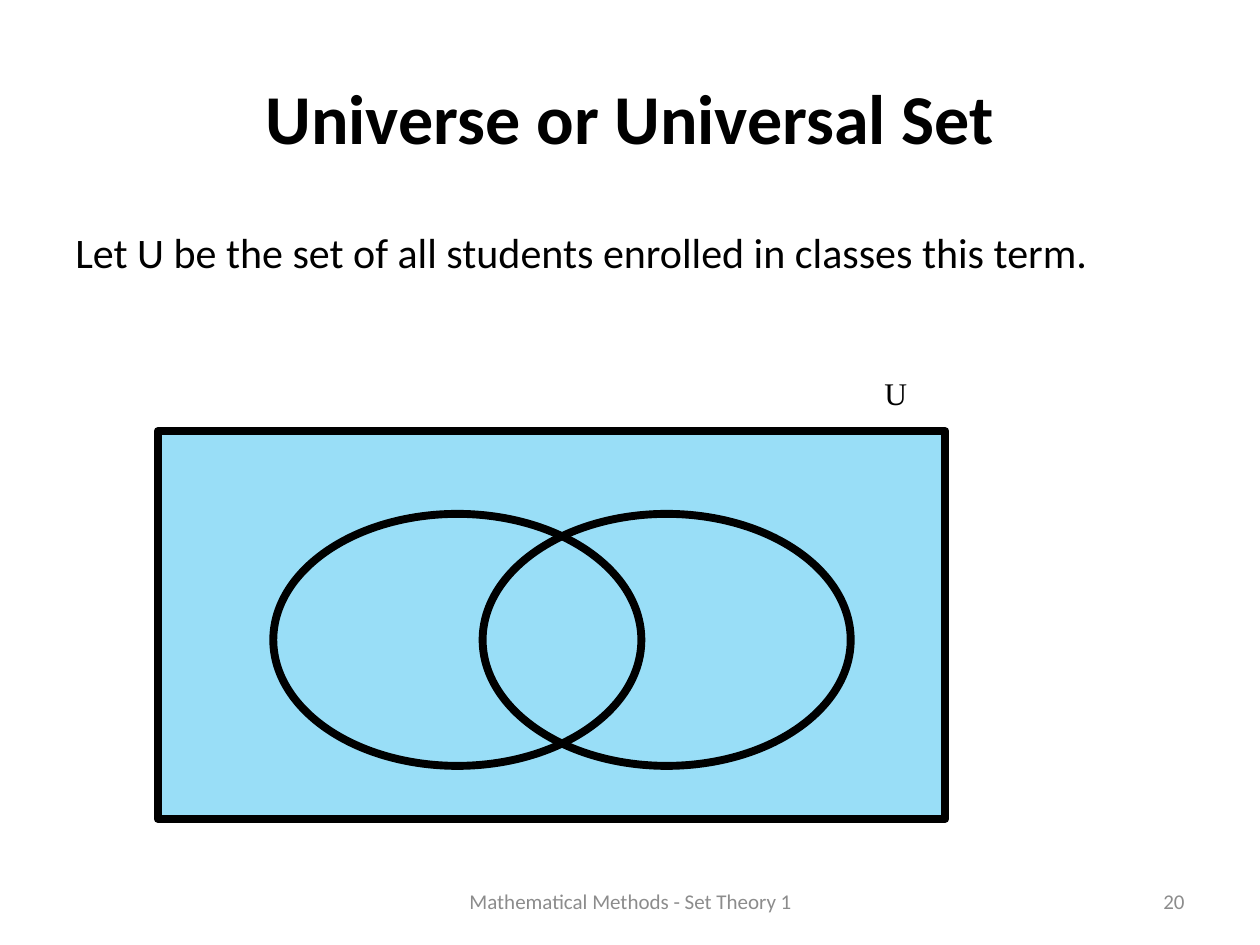
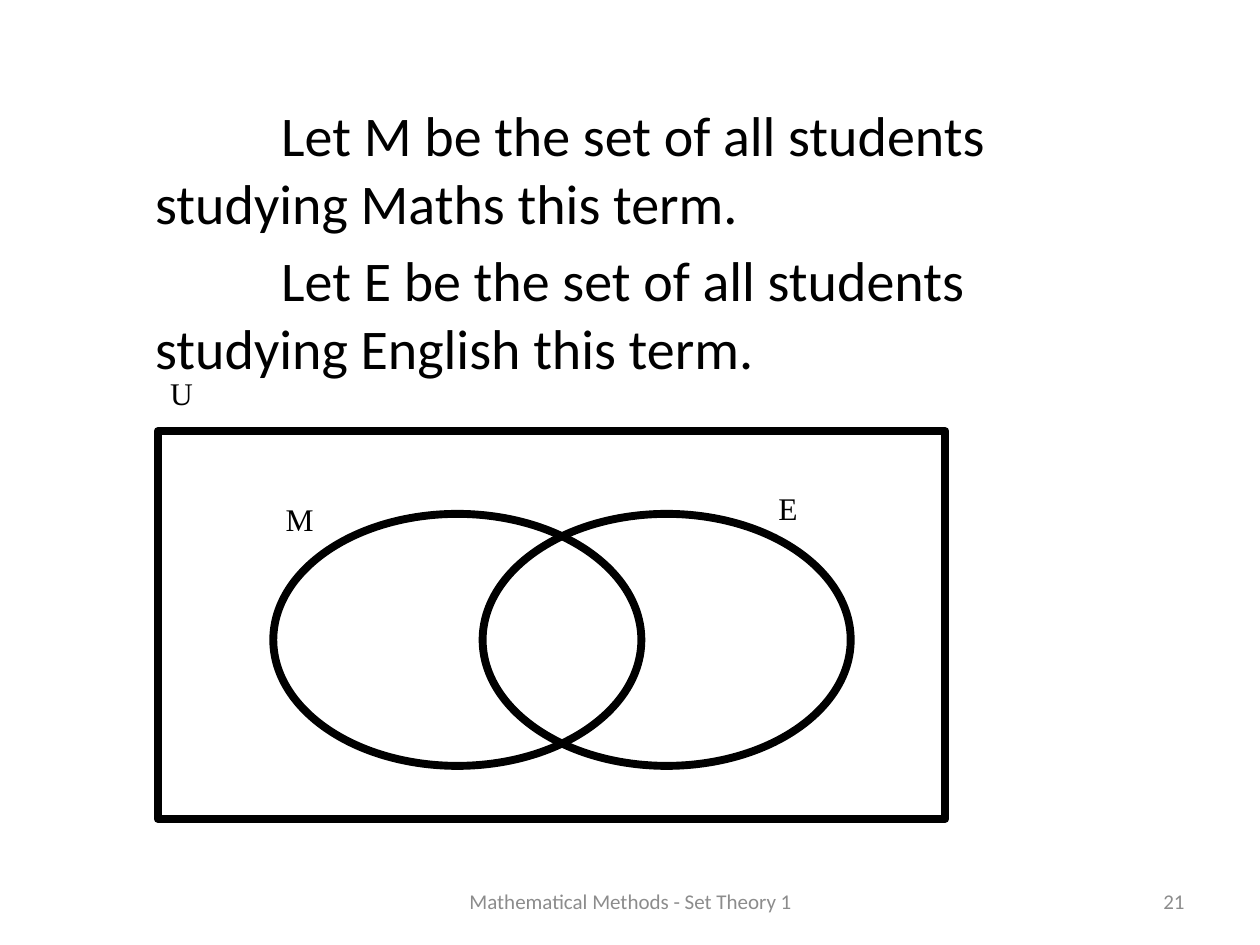
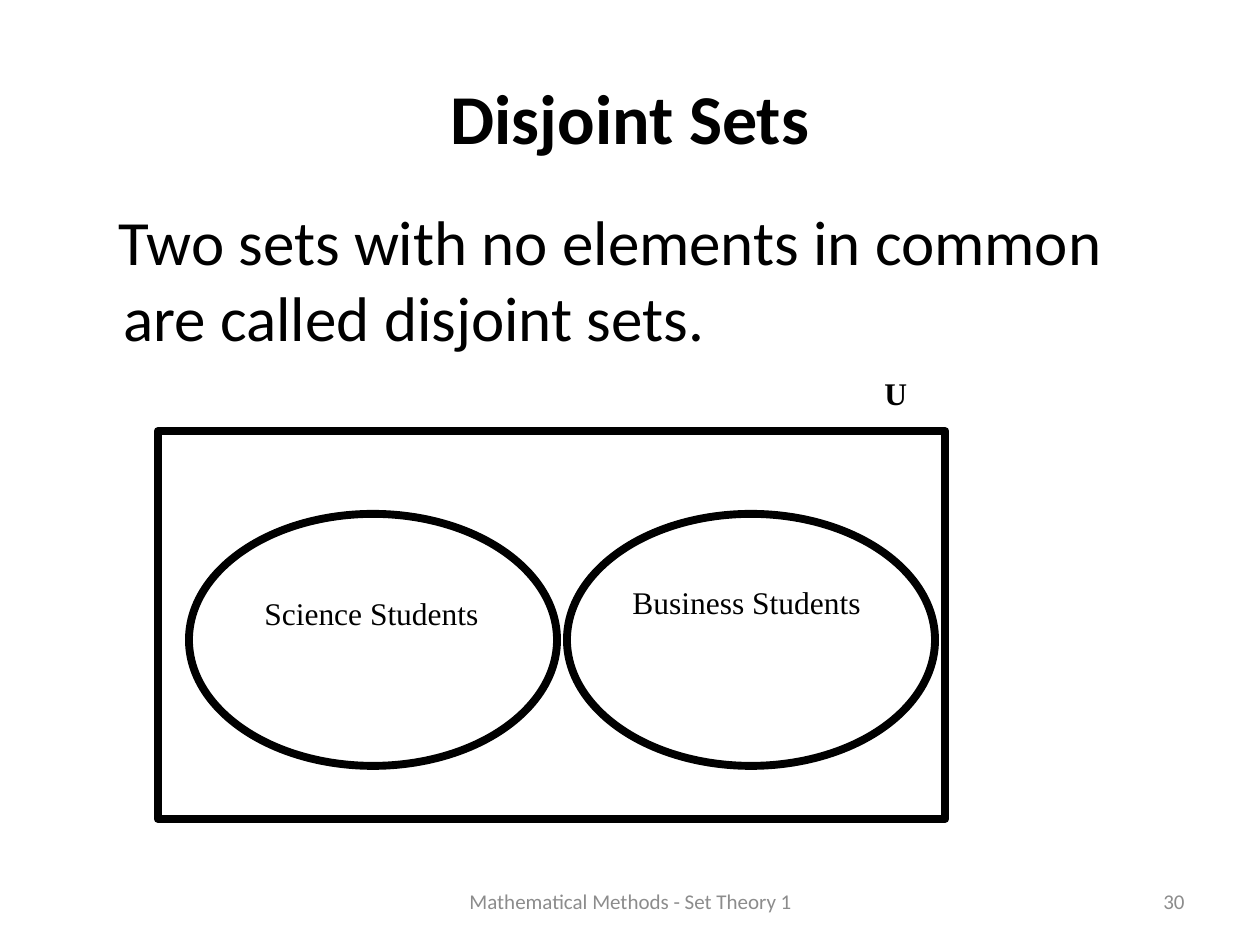
from pptx import Presentation
from pptx.dml.color import RGBColor
from pptx.enum.shapes import MSO_SHAPE as SHAPE
from pptx.enum.text import MSO_ANCHOR as ANCHOR, PP_ALIGN as ALIGN
from pptx.util import Cm, Pt

# Shared style
BLACK = RGBColor(0x00, 0x00, 0x00)
GREY = RGBColor(0x8C, 0x8C, 0x8C)
SKY = RGBColor(0x99, 0xDE, 0xF7)
BODY_FONT, LABEL_FONT = "Calibri", "Times New Roman"
COURSE = "Mathematical Methods - Set Theory 1"

# Shared places in cm: left, top, width, height
TITLE_BOX = (1.27, 0.76, 22.86, 3.18)
UNIVERSE_BOX = (3.18, 8.69, 15.88, 7.82)
COURSE_BOX = (8.69, 17.65, 8.05, 1.02)
NUMBER_BOX = (18.21, 17.65, 5.92, 1.02)
SET_TOP, SET_WIDTH, SET_HEIGHT = 10.36, 7.42, 5.08
OVERLAPPING, APART = (5.51, 9.73), (3.81, 11.43)

# Each body has its box, size, left margin, first-line indent and text;
# each label has its text, box and weight
slides = [
    {
        "number": "20", "title": "Universe or Universal Set",
        "fill": SKY, "set_lefts": OVERLAPPING,
        "body": ((1.27, 4.45, 22.86, 12.57), 24, 0.97, -0.97,
                 "Let U be the set of all students enrolled in classes this term."),
        "labels": [("U", (17.58, 7.42, 1.91, 1.27), False)],
    },
    {
        "number": "21", "title": None,
        "fill": None, "set_lefts": OVERLAPPING,
        "body": ((1.91, 1.91, 21.59, 15.04), 32, 0.97, 2.54,
                 "Let M be the set of all students studying Maths this term.\n"
                 "Let E be the set of all students studying English this term."),
        "labels": [("U", (3.18, 7.42, 1.91, 1.27), False),
                   ("M", (5.51, 9.96, 1.7, 1.27), False),
                   ("E", (15.44, 9.73, 2.97, 1.27), False)],
    },
    {
        "number": "30", "title": "Disjoint Sets",
        "fill": None, "set_lefts": APART,
        "body": ((1.27, 3.96, 22.86, 13.06), 36, 0.97, -0.1,
                 "Two sets with no elements in common are called disjoint sets."),
        "labels": [("U", (17.58, 7.42, 1.91, 1.27), True),
                   ("Science Students", (5.08, 11.86, 5.08, 1.02), False),
                   ("Business Students", (12.5, 11.63, 5.51, 1.02), False)],
    },
]


def add_text(slide, box, text, size, font=BODY_FONT, color=BLACK, bold=False,
             align=ALIGN.LEFT, anchor=ANCHOR.TOP):
    frame = slide.shapes.add_textbox(*map(Cm, box)).text_frame
    frame.word_wrap = True
    frame.vertical_anchor = anchor
    frame.text = text
    for paragraph in frame.paragraphs:
        paragraph.alignment = align
        for run in paragraph.runs:
            run.font.name = font
            run.font.size = Pt(size)
            run.font.bold = bold
            run.font.color.rgb = color
    return frame


def add_outline(slide, kind, box, fill=None):
    outline = slide.shapes.add_shape(kind, *map(Cm, box))
    outline.shadow.inherit = False
    outline.line.color.rgb = BLACK
    outline.line.width = Pt(4.5)
    if fill is None:
        outline.fill.background()
    else:
        outline.fill.solid()
        outline.fill.fore_color.rgb = fill


prs = Presentation()
prs.slide_width, prs.slide_height = Cm(25.4), Cm(19.05)

for content in slides:
    slide = prs.slides.add_slide(prs.slide_layouts[6])

    # Title
    if content["title"]:
        add_text(slide, TITLE_BOX, content["title"], 40, bold=True,
                 align=ALIGN.CENTER, anchor=ANCHOR.MIDDLE)

    # Venn diagram
    add_outline(slide, SHAPE.RECTANGLE, UNIVERSE_BOX, content["fill"])
    for left in content["set_lefts"]:
        add_outline(slide, SHAPE.OVAL, (left, SET_TOP, SET_WIDTH, SET_HEIGHT))

    # Definition
    box, size, margin, indent, definition = content["body"]
    sentences = add_text(slide, box, definition, size).paragraphs
    for sentence in sentences:
        properties = sentence._p.get_or_add_pPr()
        properties.set("marL", str(Cm(margin)))
        properties.set("indent", str(Cm(indent)))
    for sentence in sentences[1:]:
        sentence.space_before = Pt(6)

    # Set labels
    for label, box, bold in content["labels"]:
        add_text(slide, box, label, 18, LABEL_FONT, bold=bold)

    # Footer
    add_text(slide, NUMBER_BOX, content["number"], 12, color=GREY,
             align=ALIGN.RIGHT, anchor=ANCHOR.MIDDLE)
    add_text(slide, COURSE_BOX, COURSE, 12, color=GREY,
             align=ALIGN.CENTER, anchor=ANCHOR.MIDDLE)

prs.save("out.pptx")
